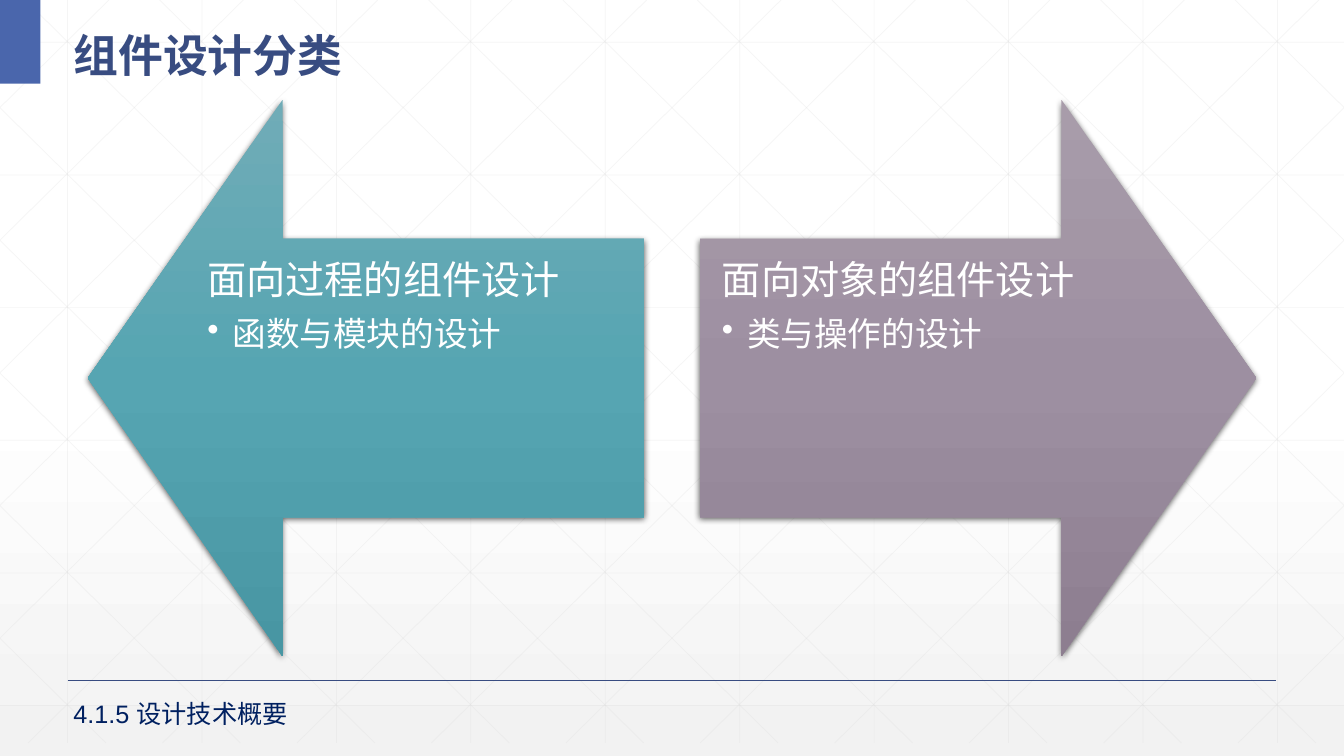
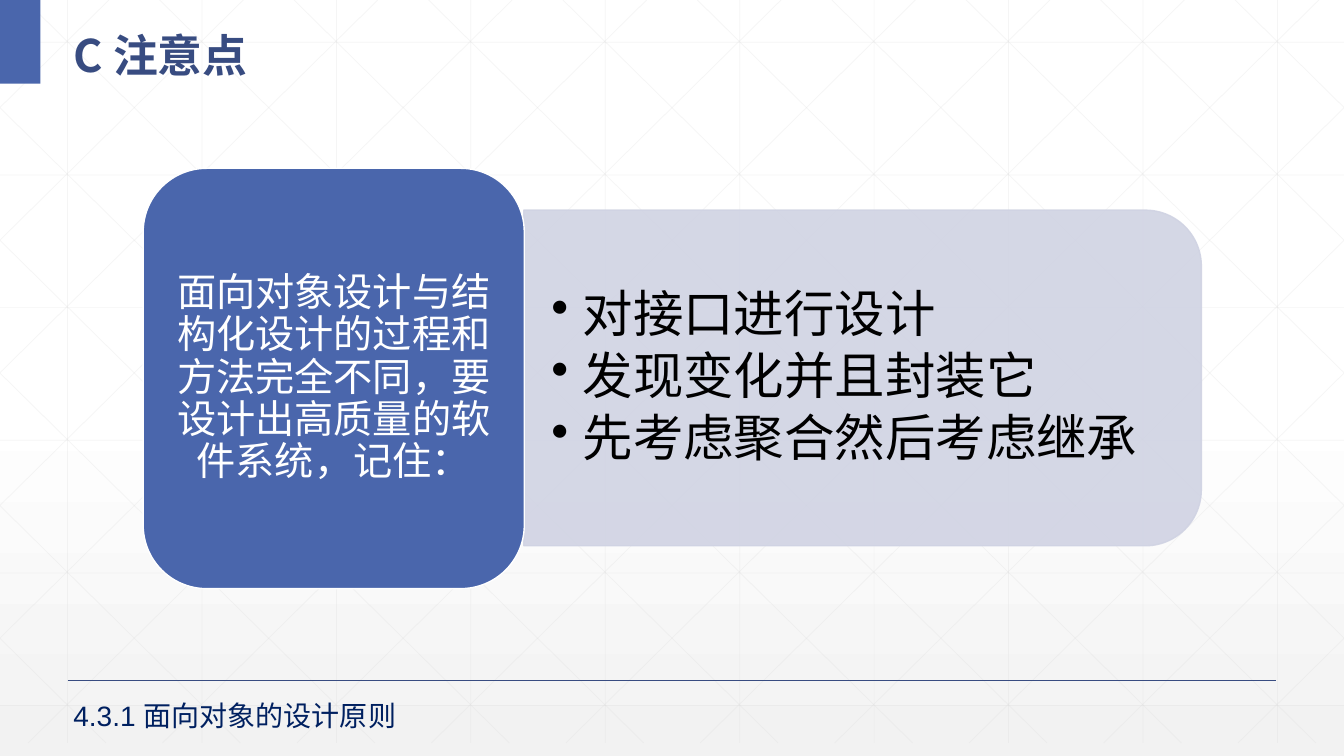
from lxml import etree
from pptx import Presentation
from pptx.dml.color import RGBColor
from pptx.enum.lang import MSO_LANGUAGE_ID
from pptx.enum.shapes import MSO_CONNECTOR, MSO_SHAPE
from pptx.enum.text import MSO_ANCHOR, MSO_AUTO_SIZE, PP_ALIGN
from pptx.oxml.ns import qn
from pptx.util import Inches, Pt

STRAIGHT = MSO_CONNECTOR.STRAIGHT
RECT, ROUNDED = MSO_SHAPE.RECTANGLE, MSO_SHAPE.ROUNDED_RECTANGLE
TOP_ROUNDED = MSO_SHAPE.ROUND_2_SAME_RECTANGLE
LEFT_ARROW, RIGHT_ARROW = MSO_SHAPE.LEFT_ARROW, MSO_SHAPE.RIGHT_ARROW
TOP, MIDDLE = MSO_ANCHOR.TOP, MSO_ANCHOR.MIDDLE
LEFT, CENTER = PP_ALIGN.LEFT, PP_ALIGN.CENTER
FIT_SHAPE = MSO_AUTO_SIZE.SHAPE_TO_FIT_TEXT
CHINESE = MSO_LANGUAGE_ID.SIMPLIFIED_CHINESE

WHITE, BLACK = RGBColor(255, 255, 255), RGBColor(0, 0, 0)
MIST = RGBColor(0xF2, 0xF2, 0xF2)
GRID = RGBColor(0xD9, 0xD9, 0xD9)
BLUE = RGBColor(0x4A, 0x66, 0xAC)
DARK_BLUE = RGBColor(0x38, 0x4C, 0x81)
NAVY = RGBColor(0x00, 0x20, 0x60)
PALE_BLUE = RGBColor(0xD0, 0xD3, 0xE3)
TEAL = [RGBColor(0x70, 0xAC, 0xB7), RGBColor(0x56, 0xA5, 0xB2), RGBColor(0x48, 0x96, 0xA3)]
MAUVE = [RGBColor(0xA8, 0x9C, 0xAA), RGBColor(0x9D, 0x8F, 0xA1), RGBColor(0x8D, 0x7E, 0x90)]

BODY_FONT, TITLE_FONT = "Arial", "Noto Sans CJK SC"
W, H = 13.33, 7.5
GRID_H = 7.37
STEP_X, STEP_Y = 4 / 3, 1.316
MARGIN = 0.67

ARROWS_TITLE = "组件设计分类"
ARROWS_FOOTER = "4.1.5 设计技术概要"
ARROW_SIZE, ARROW_TOP = 5.52, 0.99
ARROWS = [
    (LEFT_ARROW, 0.87, TEAL, "面向过程的组件设计", "函数与模块的设计"),
    (RIGHT_ARROW, 6.94, MAUVE, "面向对象的组件设计", "类与操作的设计"),
]

NOTES_TITLE = "C 注意点"
NOTES_FOOTER = "4.3.1 面向对象的设计原则"
NOTES_LEAD = "面向对象设计与结构化设计的过程和方法完全不同，要设计出高质量的软件系统，记住："
NOTES = ["对接口进行设计", "发现变化并且封装它", "先考虑聚合然后考虑继承"]


def sub(parent, tag, **attrs):
    return etree.SubElement(parent, qn(tag), attrs)


def set_alpha(shape, percent):
    for clr in shape.element.spPr.iter(qn("a:srgbClr")):
        sub(clr, "a:alpha", val=str(percent * 1000))


def set_gradient(fill, element, stops):
    """Fill from top to bottom with (percent, colour) stops."""
    fill.gradient()
    fill.gradient_angle = 270
    gs_lst = next(element.iter(qn("a:gsLst")))
    for gs in list(gs_lst):
        gs_lst.remove(gs)
    for percent, color in stops:
        gs = sub(gs_lst, "a:gs", pos=str(percent * 1000))
        sub(gs, "a:srgbClr", val=str(color))


def add_line(s, x1, y1, x2, y2, color, width):
    line = s.shapes.add_connector(STRAIGHT, *(Inches(v) for v in (x1, y1, x2, y2)))
    line.line.color.rgb = color
    line.line.width = Pt(width)
    sub(line.element.spPr, "a:effectLst")
    return line


def add_shape(s, kind, box, fill=None, line=None):
    sp = s.shapes.add_shape(kind, *(Inches(v) for v in box))
    sp.shadow.inherit = False
    if fill is not None:
        sp.fill.solid()
        sp.fill.fore_color.rgb = fill
    if line is None:
        sp.line.fill.background()
    else:
        sp.line.color.rgb = line
        sp.line.width = Pt(1)
    return sp


def add_text_box(s, box):
    return s.shapes.add_textbox(*(Inches(v) for v in box)).text_frame


def set_frame(tf, anchor=TOP, inset_x=0.1, inset_y=0.05):
    tf.word_wrap = True
    tf.vertical_anchor = anchor
    tf.margin_left = tf.margin_right = Inches(inset_x)
    tf.margin_top = tf.margin_bottom = Inches(inset_y)


def write(tf, text, size, color, font=BODY_FONT, bold=False, align=LEFT,
          spacing=None, after=0, bullet=0):
    """Add a paragraph; after is a share of the size, bullet an indent in inches."""
    p = tf.paragraphs[0]
    if p.runs:
        p = tf.add_paragraph()
    p.alignment = align
    if spacing:
        p.line_spacing = spacing
    if after:
        p.space_after = Pt(round(size * after, 1))
    if bullet:
        pPr = p._p.get_or_add_pPr()
        pPr.set("marL", str(Inches(bullet)))
        pPr.set("indent", str(-Inches(bullet)))
        sub(pPr, "a:buChar", char="•")
    r = p.add_run()
    r.text = text
    r.font.size = Pt(size)
    r.font.bold = bold
    r.font.color.rgb = color
    r.font.name = font
    r.font.language_id = CHINESE
    sub(r.font._element, "a:ea", typeface=font)


def grid_lines():
    """Yield the ends of the upright, level and slanted lines of the backdrop."""
    for i in range(10):
        x = MARGIN + i * STEP_X
        yield x, 0, x, GRID_H
    for i in range(6):
        y = 0.42 + i * STEP_Y
        yield 0, y, W, y
    slope = STEP_Y / STEP_X
    for i in range(-5, 10):
        x0 = 0.25 + i * STEP_X
        x1, x2 = max(x0, 0), min(x0 + GRID_H / slope, W)
        y1, y2 = (x1 - x0) * slope, (x2 - x0) * slope
        yield x1, y1, x2, y2
        yield W - x1, y1, W - x2, y2


def decorate_layout(layout, s):
    """Draw the shared backdrop on s, then move it into the layout."""
    for ph in list(layout.placeholders):
        layout.shapes.element.remove(ph.element)
    set_gradient(layout.background.fill, layout.element,
                 [(0, WHITE), (53, WHITE), (100, MIST)])
    for ends in grid_lines():
        set_alpha(add_line(s, *ends, GRID, 0.5), 25)
    add_line(s, MARGIN, 6.75, W - MARGIN, 6.75, DARK_BLUE, 1)
    add_shape(s, RECT, (0, 0, 0.4, 0.83), BLUE)
    for shape in list(s.shapes):
        layout.shapes.element.append(shape.element)


def add_title_and_footer(s, title, footer, footer_size):
    tf = add_text_box(s, (0.63, 0.1, 12.42, 0.73))
    set_frame(tf, MIDDLE)
    write(tf, title, 32, DARK_BLUE, TITLE_FONT, bold=True, spacing=1.3)
    tf = add_text_box(s, (0.63, 6.88, 6.04, 0.4))
    set_frame(tf)
    tf.auto_size = FIT_SHAPE
    write(tf, footer, footer_size, NAVY)


def add_arrow(s, kind, left, colors, heading, detail):
    sp = add_shape(s, kind, (left, ARROW_TOP, ARROW_SIZE, ARROW_SIZE))
    sp.adjustments[0], sp.adjustments[1] = 0.5, 0.35
    set_gradient(sp.fill, sp.element, zip((0, 50, 100), colors))
    effects = sp.element.spPr.find(qn("a:effectLst"))
    shadow = sub(effects, "a:outerShdw", blurRad=str(Pt(4.5)), dist=str(Pt(1.5)),
                 dir="5400000", algn="ctr", rotWithShape="0")
    sub(sub(shadow, "a:srgbClr", val=str(BLACK)), "a:alpha", val="63000")
    tf = sp.text_frame
    set_frame(tf, TOP, 0.22, 0.22)
    write(tf, heading, 28, WHITE, spacing=0.9, after=0.35)
    write(tf, detail, 24, WHITE, spacing=0.9, after=0.15, bullet=0.25)


def add_notes(s):
    panel = add_shape(s, TOP_ROUNDED, (6.89, 0.39, 3.33, 6.72), PALE_BLUE, PALE_BLUE)
    panel.rotation = 90
    set_alpha(panel, 90)
    tf = add_text_box(s, (5.2, 2.25, 6.56, 3.01))
    set_frame(tf, MIDDLE, 0.27, 0.14)
    for note in NOTES:
        write(tf, note, 36, BLACK, spacing=0.9, after=0.15, bullet=0.31)
    lead = add_shape(s, ROUNDED, (1.42, 1.67, 3.78, 4.17), BLUE, WHITE)
    set_frame(lead.text_frame, MIDDLE, 0.12, 0.06)
    write(lead.text_frame, NOTES_LEAD, 28, WHITE, align=CENTER, spacing=0.9, after=0.35)


def main():
    prs = Presentation()
    prs.slide_width, prs.slide_height = Inches(W), Inches(H)
    blank = prs.slide_layouts[6]

    s = prs.slides.add_slide(blank)
    decorate_layout(blank, s)
    for arrow in ARROWS:
        add_arrow(s, *arrow)
    add_title_and_footer(s, ARROWS_TITLE, ARROWS_FOOTER, 18)

    s = prs.slides.add_slide(blank)
    add_notes(s)
    add_title_and_footer(s, NOTES_TITLE, NOTES_FOOTER, 20)

    prs.save("out.pptx")


if __name__ == "__main__":
    main()
